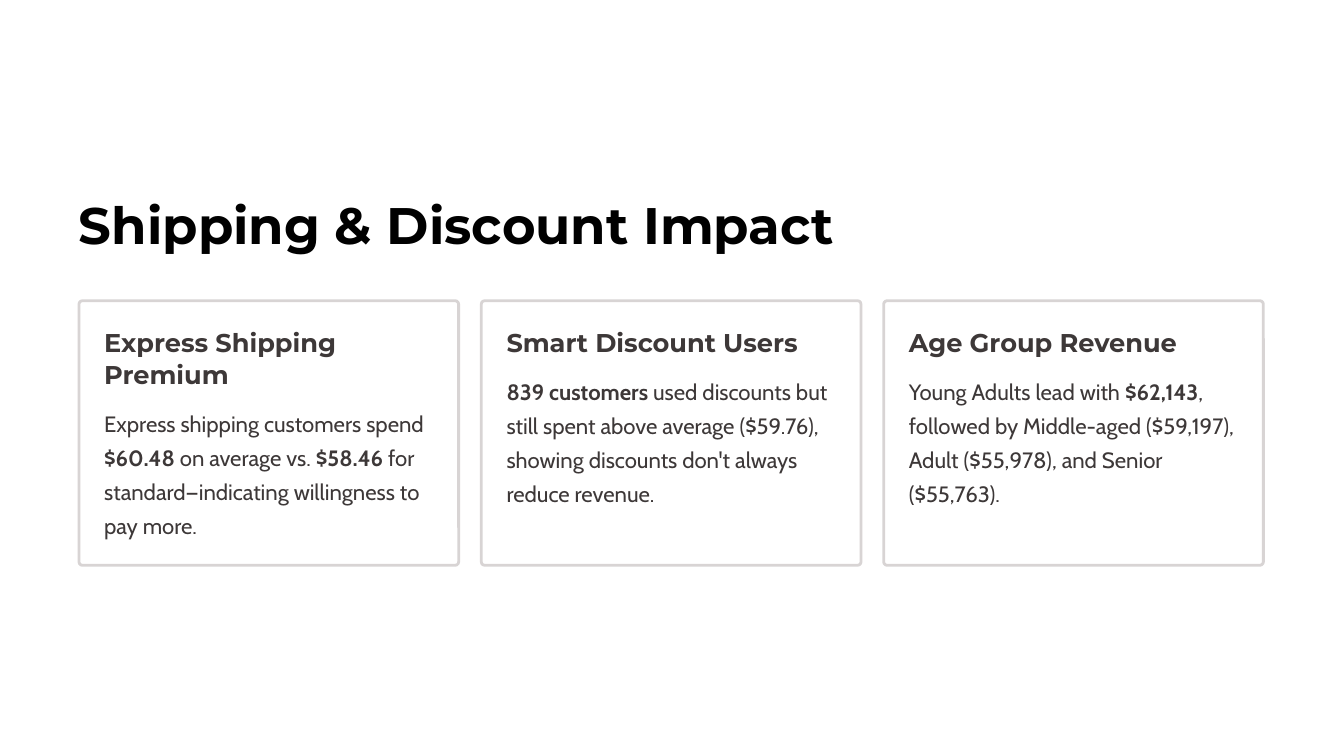
from dataclasses import dataclass

from pptx import Presentation
from pptx.dml.color import RGBColor
from pptx.enum.shapes import MSO_SHAPE
from pptx.enum.text import MSO_ANCHOR
from pptx.slide import Slide
from pptx.util import Inches, Pt

ROUND = MSO_SHAPE.ROUNDED_RECTANGLE
TOP = MSO_ANCHOR.TOP

BLACK = RGBColor(0x00, 0x00, 0x00)
WHITE = RGBColor(0xFF, 0xFF, 0xFF)
GREY = RGBColor(0xD8, 0xD4, 0xD4)
INK = RGBColor(0x3D, 0x38, 0x38)

COLS, ROWS = 16, 9
COL = ROW = Inches(1)

LEFT = 0.94
CARD_TOP, CARD_WIDTH, CARD_HEIGHT = 3.58, 4.52, 3.15
STEP = 4.79
PAD = 0.3
HEAD_LINE = 0.38
GAP = 0.16


@dataclass(frozen=True)
class Box:
    col: float
    row: float
    width: float
    height: float

    def place(self) -> tuple[int, int, int, int]:
        return (int(self.col * COL), int(self.row * ROW),
                int(self.width * COL), int(self.height * ROW))


@dataclass(frozen=True)
class Style:
    font: str
    size: float
    line: float
    color: RGBColor
    bold: bool = False


@dataclass(frozen=True)
class Card:
    head: str
    lines: int
    body: str


TITLE = Style("Montserrat", 44, 55, BLACK, True)
HEAD = Style("Montserrat", 22, 27.5, INK, True)
BODY = Style("Cabin", 19, 29, INK)

CARDS = [
    Card("Express Shipping Premium", 2,
         "Express shipping customers spend *$60.48* on average vs. *$58.46* "
         "for standard—indicating willingness to pay more."),
    Card("Smart Discount Users", 1,
         "*839 customers* used discounts but still spent above average "
         "($59.76), showing discounts don't always reduce revenue."),
    Card("Age Group Revenue", 1,
         "Young Adults lead with *$62,143*, followed by Middle-aged "
         "($59,197), Adult ($55,978), and Senior ($55,763)."),
]


def write(slide: Slide, box: Box, text: str, style: Style, wrap: bool = True) -> None:
    frame = slide.shapes.add_textbox(*box.place()).text_frame
    form = {"margin_left": 0, "margin_top": 0, "margin_right": 0,
            "margin_bottom": 0, "word_wrap": wrap, "vertical_anchor": TOP}
    for name, value in form.items():
        setattr(frame, name, value)
    para = frame.paragraphs[0]
    para.line_spacing = Pt(style.line)
    for turn, part in enumerate(text.split("*")):
        if not part:
            continue
        run = para.add_run()
        run.text = part
        form = {"name": style.font, "size": Pt(style.size),
                "bold": style.bold or turn % 2 == 1}
        for name, value in form.items():
            setattr(run.font, name, value)
        run.font.color.rgb = style.color


def draw(slide: Slide, card: Card, left: float) -> None:
    box = Box(left, CARD_TOP, CARD_WIDTH, CARD_HEIGHT)
    frame = slide.shapes.add_shape(ROUND, *box.place())
    frame.adjustments[0] = 0.013
    frame.shadow.inherit = False
    frame.fill.solid()
    frame.fill.fore_color.rgb = WHITE
    frame.line.color.rgb = GREY
    frame.line.width = Pt(2.4)

    width = CARD_WIDTH - 2 * PAD
    top = CARD_TOP + PAD
    tall = card.lines * HEAD_LINE
    write(slide, Box(left + PAD, top, width, tall), card.head, HEAD)
    write(slide, Box(left + PAD, top + tall + GAP, width, 1.62), card.body, BODY)


def main() -> None:
    deck = Presentation()
    deck.slide_width, deck.slide_height = COLS * COL, ROWS * ROW
    slide = deck.slides.add_slide(deck.slide_layouts[6])
    fill = slide.background.fill
    fill.solid()
    fill.fore_color.rgb = WHITE
    write(slide, Box(LEFT, 2.27, 9.02, 0.77), "Shipping & Discount Impact", TITLE, False)
    for place, card in enumerate(CARDS):
        draw(slide, card, LEFT + place * STEP)
    deck.save("out.pptx")


if __name__ == "__main__":
    main()
